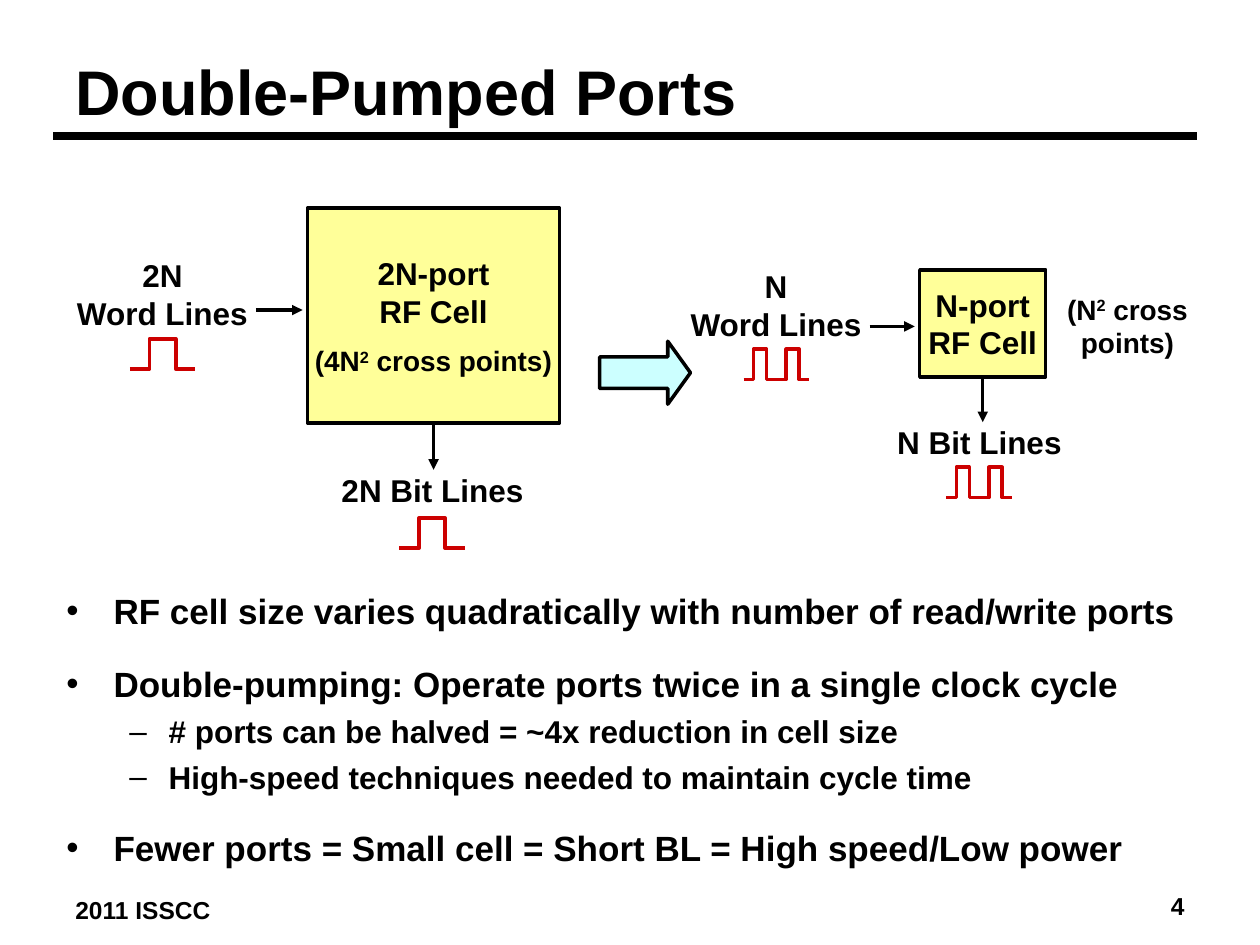
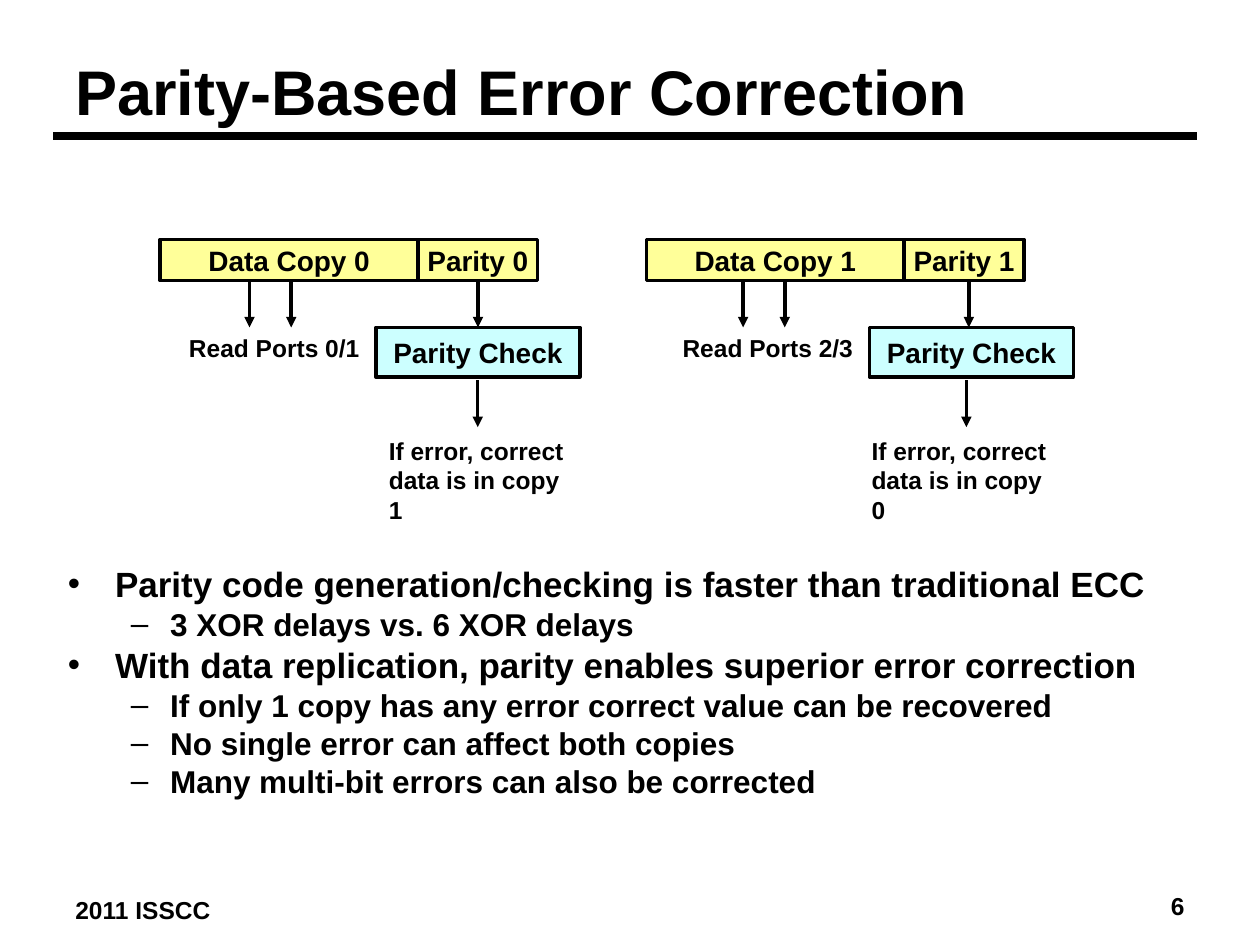
import dataclasses

import lxml.etree
import pptx
import pptx.dml.color
import pptx.enum.shapes
import pptx.enum.text
import pptx.oxml.ns
import pptx.util

Cm = pptx.util.Cm
Pt = pptx.util.Pt
Shape = pptx.enum.shapes.MSO_SHAPE
Align = pptx.enum.text.PP_ALIGN
Anchor = pptx.enum.text.MSO_ANCHOR
qn = pptx.oxml.ns.qn


@dataclasses.dataclass(frozen=True)
class Theme:
    font: str = "Arial"
    ink: str = "000000"
    memory: str = "FFFF99"
    logic: str = "CCFFFF"
    pulse: str = "CC0000"
    title: float = 36
    bullet: float = 20
    label: float = 18
    block: float = 16
    small: float = 14
    outline: float = 2
    rule: float = 4.5


THEME = Theme()
BULLET_STYLES = (
    ("•", THEME.bullet, 0.95, -0.95),
    ("–", THEME.label, 2.06, -0.79),
)


def rgb(value):
    return pptx.dml.color.RGBColor.from_string(value)


class Painter:
    def __init__(self, deck, theme):
        self.deck = deck
        self.theme = theme
        self.page = None

    def start_page(self, title, number):
        self.page = self.deck.slides.add_slide(self.deck.slide_layouts[6])
        self.line((1.07, 2.74), (24.13, 2.74), self.theme.rule)
        self.text((1.27, 0.76, 22.86, 2.13), [title], self.theme.title,
                  anchor=Anchor.MIDDLE, wrap=True)
        self.text((1.27, 17.91, 5.92, 0.79), ["2011 ISSCC"], self.theme.small)
        self.text((18.21, 17.83, 5.92, 0.86), [number], self.theme.small,
                  align=Align.RIGHT, wrap=True)

    def style(self, para, size, align=Align.LEFT):
        para.alignment = align
        para.font.name = self.theme.font
        para.font.size = Pt(size)
        para.font.bold = True
        para.font.color.rgb = rgb(self.theme.ink)

    def add_lines(self, frame, lines, size, align):
        for index, line in enumerate(lines):
            para = frame.paragraphs[0] if index == 0 else frame.add_paragraph()
            for position, part in enumerate(line.split("^")):
                span = para.add_run()
                span.text = part
                if position % 2:
                    span._r.get_or_add_rPr().set("baseline", "30000")
            self.style(para, size, align)

    def set_frame(self, frame, anchor, wrap, side, edge):
        frame.vertical_anchor = anchor
        frame.word_wrap = wrap
        frame.margin_left = frame.margin_right = Cm(side)
        frame.margin_top = frame.margin_bottom = Cm(edge)

    def text(self, place, lines, size, align=Align.LEFT, anchor=Anchor.TOP,
             wrap=False, side=0.25, edge=0.13):
        box = self.page.shapes.add_textbox(*map(Cm, place))
        self.set_frame(box.text_frame, anchor, wrap, side, edge)
        self.add_lines(box.text_frame, lines, size, align)

    def caption(self, place, lines, size=THEME.label):
        self.text(place, lines, size, Align.CENTER, side=0, edge=0)

    def bullets(self, place, items, gap, spacing=1.0):
        frame = self.page.shapes.add_textbox(*map(Cm, place)).text_frame
        self.set_frame(frame, Anchor.TOP, True, 0.25, 0.13)
        for index, (level, text) in enumerate(items):
            symbol, size, margin, indent = BULLET_STYLES[level]
            para = frame.paragraphs[0] if index == 0 else frame.add_paragraph()
            para.text = text
            para.level = level
            para.line_spacing = spacing
            if index:
                para.space_before = Pt(4.5 if level else gap)
            properties = para._p.get_or_add_pPr()
            properties.set("marL", str(Cm(margin)))
            properties.set("indent", str(Cm(indent)))
            lxml.etree.SubElement(properties, qn("a:buFont"), typeface=self.theme.font)
            lxml.etree.SubElement(properties, qn("a:buChar"), char=symbol)
            self.style(para, size)

    def outline(self, shape, color):
        shape.shadow.inherit = False
        shape.line.color.rgb = rgb(color)
        shape.line.width = Pt(self.theme.outline)

    def block(self, place, fill, lines=(), size=THEME.block, side=0.13,
              kind=Shape.RECTANGLE):
        shape = self.page.shapes.add_shape(kind, *map(Cm, place))
        shape.fill.solid()
        shape.fill.fore_color.rgb = rgb(fill)
        self.outline(shape, self.theme.ink)
        self.set_frame(shape.text_frame, Anchor.MIDDLE, True, side, 0.13)
        self.add_lines(shape.text_frame, lines, size, Align.CENTER)
        return shape

    def line(self, start, end, width):
        points = map(Cm, (*start, *end))
        link = self.page.shapes.add_connector(
            pptx.enum.shapes.MSO_CONNECTOR.STRAIGHT, *points)
        link.line.color.rgb = rgb(self.theme.ink)
        link.line.width = Pt(width)
        lxml.etree.SubElement(link._element.spPr, qn("a:effectLst"))
        return link

    def arrow(self, start, end, source=None, target=None):
        link = self.line(start, end, self.theme.outline)
        lxml.etree.SubElement(link.line._get_or_add_ln(), qn("a:tailEnd"), type="triangle")
        if self.is_centred(source, start):
            link.begin_connect(source, 2)
        if self.is_centred(target, end):
            link.end_connect(target, 0)

    def is_centred(self, shape, point):
        if shape is None:
            return False
        return abs(shape.left + shape.width / 2 - Cm(point[0])) < Cm(0.04)

    def pulse(self, left, top, cycles, width=1.32, height=0.61):
        period = width / cycles
        bottom = top + height
        points = []
        for cycle in range(cycles):
            begin = left + cycle * period
            rise, fall = begin + 0.3 * period, begin + 0.7 * period
            points += [(rise, bottom), (rise, top), (fall, top), (fall, bottom)]
        points.append((left + width, bottom))
        builder = self.page.shapes.build_freeform(Cm(left), Cm(bottom))
        builder.add_line_segments([(Cm(x), Cm(y)) for x, y in points], close=False)
        wave = builder.convert_to_shape()
        wave.fill.background()
        self.outline(wave, self.theme.pulse)


def draw_ports(painter):
    theme = painter.theme
    painter.start_page("Double-Pumped Ports", "4")
    painter.bullets((1.09, 11.76, 23.39, 5.99), [
        (0, "RF cell size varies quadratically with number of read/write ports"),
        (0, "Double-pumping: Operate ports twice in a single clock cycle"),
        (1, "# ports can be halved = ~4x reduction in cell size"),
        (1, "High-speed techniques needed to maintain cycle time"),
        (0, "Fewer ports = Small cell = Short BL = High speed/Low power"),
    ], gap=17.5)

    large_cell = painter.block((6.2, 4.19, 5.08, 4.34), theme.memory,
                               ["2N-port", "RF Cell", "(4N^2^ cross points)"],
                               theme.label, side=0)
    cross_points = large_cell.text_frame.paragraphs[2]
    cross_points.space_before = Pt(8)
    cross_points.font.size = Pt(theme.block)
    small_cell = painter.block((18.54, 5.44, 2.54, 2.16), theme.memory,
                               ["N-port RF Cell"], theme.label)
    painter.caption((21.51, 5.89, 2.44, 1.35), ["(N^2^ cross", "points)"], theme.block)

    painter.caption((1.55, 5.16, 3.45, 1.52), ["2N", "Word Lines"])
    painter.caption((13.92, 5.38, 3.45, 1.52), ["N", "Word Lines"])
    painter.caption((6.88, 9.5, 3.68, 0.76), ["2N Bit Lines"])
    painter.caption((18.08, 8.53, 3.33, 0.76), ["N Bit Lines"])

    painter.arrow((5.16, 6.25), (6.1, 6.25))
    painter.arrow((17.53, 6.58), (18.44, 6.58))
    painter.arrow((8.74, 8.53), (8.74, 9.47), source=large_cell)
    painter.arrow((19.81, 7.6), (19.81, 8.51), source=small_cell)

    for left, top, cycles in ((2.62, 6.83, 1), (8.05, 10.44, 1),
                              (14.99, 7.04, 2), (19.08, 9.42, 2)):
        painter.pulse(left, top, cycles)

    big_arrow = painter.block((12.09, 6.88, 1.83, 1.27), theme.logic,
                              kind=Shape.RIGHT_ARROW)
    big_arrow.adjustments[1] = 0.36


def draw_parity(painter):
    theme = painter.theme
    painter.start_page("Parity-Based Error Correction", "6")
    painter.bullets((1.12, 11.38, 23.16, 5.64), [
        (0, "Parity code generation/checking is faster than traditional ECC"),
        (1, "3 XOR delays vs. 6 XOR delays"),
        (0, "With data replication, parity enables superior error correction"),
        (1, "If only 1 copy has any error correct value can be recovered"),
        (1, "No single error can affect both copies"),
        (1, "Many multi-bit errors can also be corrected"),
    ], gap=5, spacing=0.8)

    copies = (
        (3.23, 3.56, 9.63, 9.63, 7.59, "0/1"),
        (13.03, 13.51, 19.53, 19.48, 17.32, "2/3"),
    )
    top, height, drop = 4.83, 0.83, 0.94
    bottom = top + height
    check_top = bottom + drop
    for index, (left, ports_left, parity_x, result_x, note_left, ports) in enumerate(copies):
        painter.block((left, top, 5.2, height), theme.memory, [f"Data Copy {index}"])
        parity = painter.block((left + 5.2, top, 2.41, height), theme.memory,
                               [f"Parity {index}"])
        check = painter.block((ports_left + 4.02, check_top, 4.11, 1), theme.logic,
                              ["Parity Check"])
        painter.text((ports_left, 6.58, 3.94, 0.86), [f"Read Ports {ports}"], theme.small)
        for offset in (1.47, 2.31):
            port_x = ports_left + offset
            painter.arrow((port_x, bottom), (port_x, check_top))
        painter.arrow((parity_x, bottom), (parity_x, check_top), parity, check)
        painter.arrow((result_x, 7.67), (result_x, 7.67 + drop))
        painter.text((note_left, 8.66, 4.34, 1.45),
                     ["If error, correct", f"data is in copy {1 - index}"], theme.small)


def main():
    deck = pptx.Presentation()
    deck.slide_width = Cm(25.4)
    deck.slide_height = Cm(19.05)
    painter = Painter(deck, THEME)
    draw_ports(painter)
    draw_parity(painter)
    deck.save("out.pptx")


if __name__ == "__main__":
    main()
